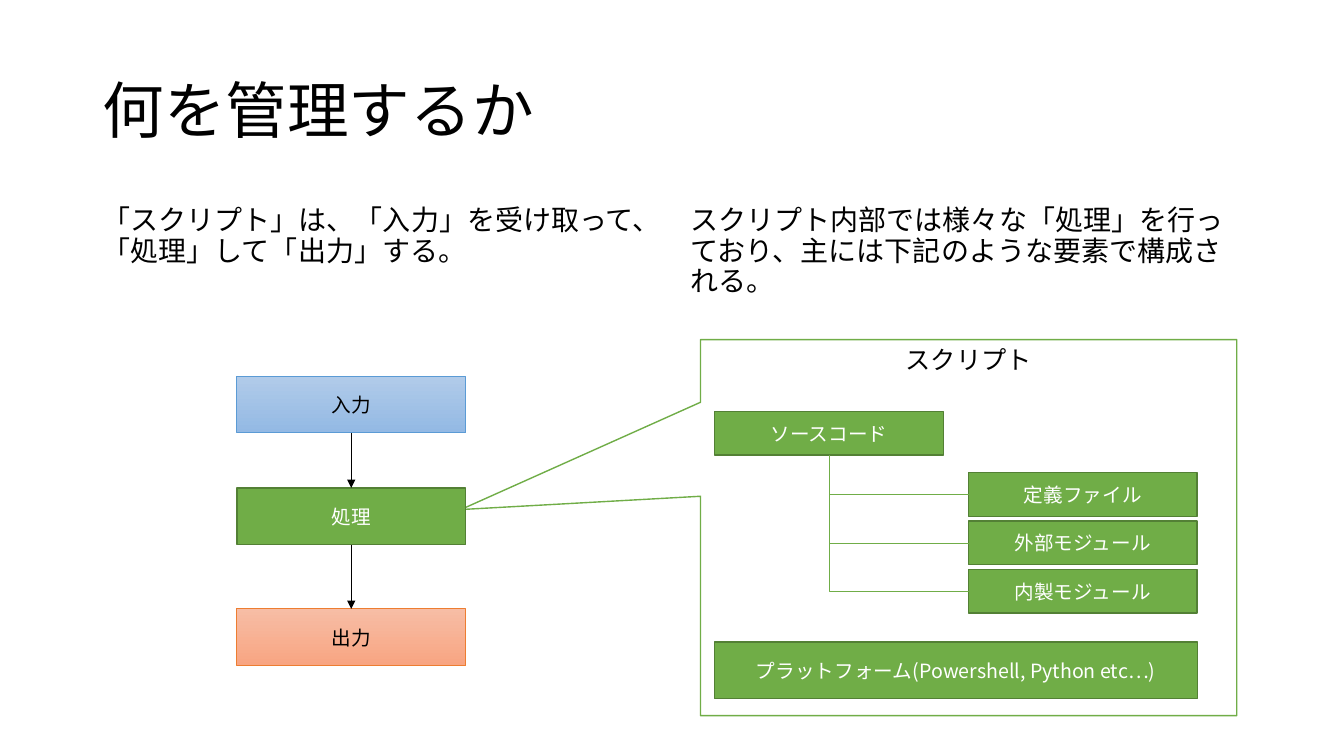
from lxml.etree import SubElement
from pptx import Presentation
from pptx.dml.color import RGBColor
from pptx.enum.shapes import MSO_CONNECTOR, MSO_SHAPE
from pptx.enum.text import MSO_ANCHOR, PP_ALIGN
from pptx.oxml.ns import qn
from pptx.util import Pt

FONT = "Noto Sans CJK JP"
COLORS = {
    "black": "000000", "white": "FFFFFF",
    "green": "70AD47", "dark_green": "538035",
    "blue_top": "B1CBE9", "blue_bottom": "93B9E4", "blue_line": "5B9BD5",
    "orange_top": "F7BDA5", "orange_bottom": "F8A582", "orange_line": "ED7D31",
}
# fills, line, line width, text colour
STYLES = {
    "green": (("green",), "dark_green", 1, "white"),
    "blue": (("blue_top", "blue_bottom"), "blue_line", 0.5, "black"),
    "orange": (("orange_top", "orange_bottom"), "orange_line", 0.5, "black"),
    "callout": (("white",), "green", 1, "black"),
}

TITLE = "何を管理するか"
BODIES = [
    "「スクリプト」は、「入力」を受け取って、「処理」して「出力」する。",
    "スクリプト内部では様々な「処理」を行っており、主には下記のような要素で構成される。",
]
CALLOUT = "スクリプト"
FLOW = [("入力", "blue", 268.6), ("処理", "green", 348.5), ("出力", "orange", 434.9)]
SOURCE = "ソースコード"
PARTS = ["定義ファイル", "外部モジュール", "内製モジュール"]
PLATFORM = "プラットフォーム(Powershell, Python etc…)"

MARGIN, BODY_WIDTH, BODY_STEP = 66.2, 408.2, 420
BOX_WIDTH, FLOW_HEIGHT, PART_HEIGHT = 163.4, 40.6, 31.2
FLOW_LEFT, SOURCE_LEFT, PARTS_LEFT = 169.2, 510.4, 691.8
PARTS_TOP, PART_STEP = 337.6, 34.6

presentation = Presentation()
presentation.slide_width, presentation.slide_height = Pt(960), Pt(540)
slide = presentation.slides.add_slide(presentation.slide_layouts[6])


def rgb(name):
    """Look up a named colour."""
    return RGBColor.from_string(COLORS[name])


def write(shape, text, size, color, anchor, align=PP_ALIGN.LEFT):
    """Put one run of text into a shape and return its paragraph."""
    frame = shape.text_frame
    frame.word_wrap = True
    frame.vertical_anchor = anchor
    paragraph = frame.paragraphs[0]
    paragraph.alignment = align
    run = paragraph.add_run()
    run.text = text
    run.font.size = Pt(size)
    run.font.name = FONT
    run.font.color.rgb = rgb(color)
    SubElement(run.font._element, qn("a:ea")).set("typeface", FONT)
    return paragraph


def add_text(text, box, size, anchor, space_before=0):
    """Add a text box with tight line spacing."""
    paragraph = write(slide.shapes.add_textbox(*map(Pt, box)), text, size, "black", anchor)
    paragraph.line_spacing = 0.9
    paragraph.space_before = Pt(space_before)


def add_box(text, box, style, kind=MSO_SHAPE.RECTANGLE, size=14, anchor=MSO_ANCHOR.MIDDLE):
    """Add a styled shape with centred text."""
    fills, line, width, color = STYLES[style]
    shape = slide.shapes.add_shape(kind, *map(Pt, box))
    shape.shadow.inherit = False
    if len(fills) > 1:
        shape.fill.gradient()
        shape.fill.gradient_angle = 270
        for stop, fill in zip(shape.fill.gradient_stops, fills):
            stop.color.rgb = rgb(fill)
    else:
        shape.fill.solid()
        shape.fill.fore_color.rgb = rgb(fills[0])
    shape.line.color.rgb = rgb(line)
    shape.line.width = Pt(width)
    write(shape, text, size, color, anchor, PP_ALIGN.CENTER)
    return shape


def connect(kind, start, start_site, end, end_site, color):
    """Join two shapes with a thin connector."""
    connector = slide.shapes.add_connector(kind, 0, 0, 0, 0)
    connector.begin_connect(start, start_site)
    connector.end_connect(end, end_site)
    connector.line.color.rgb = rgb(color)
    connector.line.width = Pt(0.5)
    SubElement(connector._element.spPr, qn("a:effectLst"))
    return connector


def add_arrow(upper, lower):
    """Point an arrow from the bottom of one box to the top of the next."""
    arrow = connect(MSO_CONNECTOR.STRAIGHT, upper, 2, lower, 0, "black")
    line = arrow._element.spPr.find(qn("a:ln"))
    SubElement(line, qn("a:tailEnd")).set("type", "triangle")


def add_branch(part, source):
    """Draw a one-bend branch from a part's left side to the source's bottom."""
    branch = connect(MSO_CONNECTOR.ELBOW, part, 1, source, 2, "green")
    properties = branch._element.spPr
    properties.find(qn("a:prstGeom")).set("prst", "bentConnector2")
    transform = properties.find(qn("a:xfrm"))
    for flip in ("flipH", "flipV"):
        transform.attrib.pop(flip, None)
    transform.set("rot", str(180 * 60000))


callout = add_box(CALLOUT, (500.4, 242.6, 383, 268.6), "callout",
                  MSO_SHAPE.RECTANGULAR_CALLOUT, 18, MSO_ANCHOR.TOP)
callout.adjustments[0], callout.adjustments[1] = -0.947, -0.048

add_text(TITLE, (MARGIN, 28.8, 828, 104.4), 44, MSO_ANCHOR.MIDDLE)
for column, body in enumerate(BODIES):
    add_text(body, (MARGIN + column * BODY_STEP, 144, BODY_WIDTH, 82), 20, MSO_ANCHOR.TOP, 10)

steps = [add_box(text, (FLOW_LEFT, top, BOX_WIDTH, FLOW_HEIGHT), style)
         for text, style, top in FLOW]
for upper, lower in zip(steps, steps[1:]):
    add_arrow(upper, lower)

source_box = add_box(SOURCE, (SOURCE_LEFT, 293.8, BOX_WIDTH, PART_HEIGHT), "green")
for row, text in enumerate(PARTS):
    top = PARTS_TOP + row * PART_STEP
    part_box = add_box(text, (PARTS_LEFT, top, BOX_WIDTH, PART_HEIGHT), "green")
    add_branch(part_box, source_box)
platform_width = PARTS_LEFT + BOX_WIDTH - SOURCE_LEFT
add_box(PLATFORM, (SOURCE_LEFT, 458.6, platform_width, FLOW_HEIGHT), "green")

presentation.save("out.pptx")
